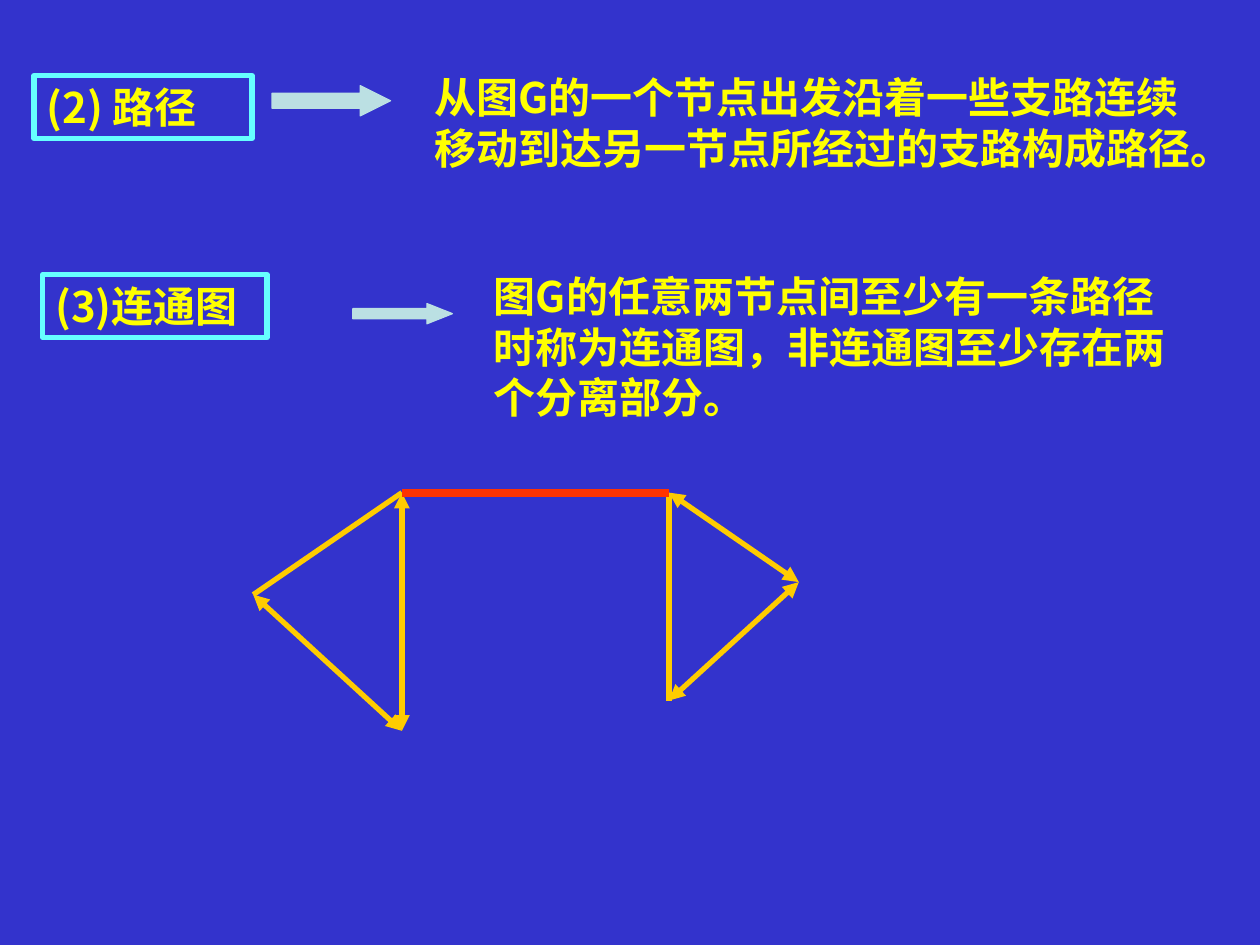
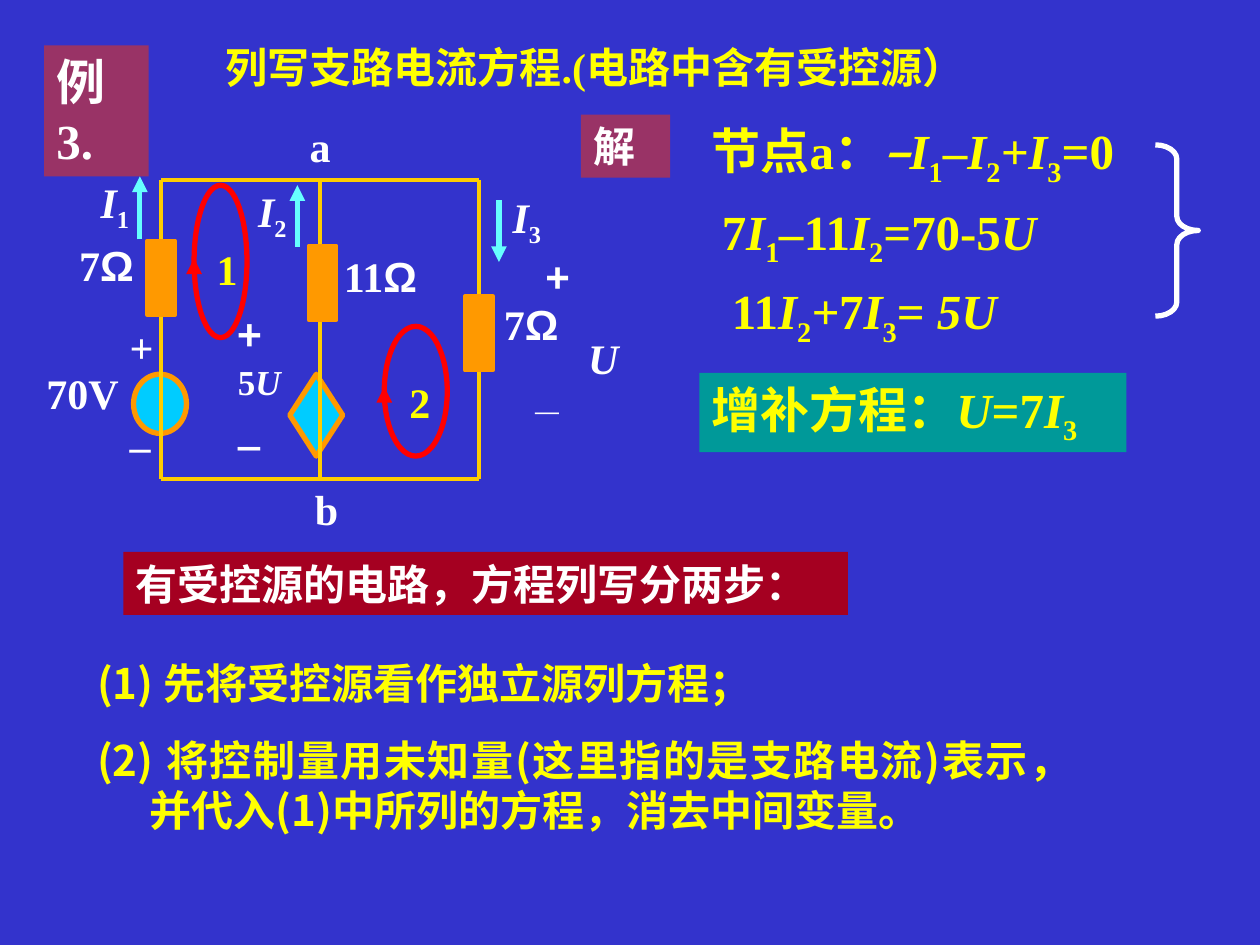
"""Build two circuit-theory slides: paths and connected graphs, and a worked example."""
from dataclasses import dataclass

from lxml import etree
from pptx import Presentation
from pptx import util as u
from pptx.dml.color import RGBColor
from pptx.enum import shapes, text
from pptx.oxml.ns import qn


@dataclass(frozen=True)
class Theme:
    """Colours, fonts and type sizes of the deck."""
    back: str = "3333CC"
    yellow: str = "FFFF00"
    white: str = "FFFFFF"
    cyan: str = "66FFFF"
    arrow: str = "BBE0E3"
    wire: str = "FFCC00"
    bridge: str = "FF3300"
    orange: str = "FF9900"
    source: str = "00CCFF"
    loop: str = "FF0000"
    tag: str = "993366"
    extra: str = "009999"
    banner: str = "A50021"
    sans: str = "Noto Sans CJK SC"
    serif: str = "Times New Roman"
    latin: str = "Arial"
    small: int = 20
    normal: int = 24
    large: int = 28


T = Theme()
SHAPE = shapes.MSO_SHAPE

TERMS = [
    ("(2) 路径", (0.27, 0.6, 1.73, 0.5)),
    ("(3)连通图", (0.34, 2.18, 1.78, 0.5)),
]
DEFINITIONS = [
    ("从图G的一个节点出发沿着一些支路连续移动到达另一节点所经过的支路构成路|~径|。",
     (3.35, 0.52, 6.22, 1.3)),
    ("图G的任意两节点间至少有一条路|~径|时称为连通图，非连通图至少存在两个分离部分。",
     (3.82, 2.1, 5.67, 1.3)),
]
POINTERS = [((2.16, 0.68, 0.94, 0.24), 1.0), ((2.8, 2.41, 0.79, 0.16), 1.26)]
NODES = {
    "left": (2.01, 4.72), "left top": (3.19, 3.91), "left foot": (3.19, 5.8),
    "right": (6.34, 4.62), "right top": (5.31, 3.91), "right foot": (5.31, 5.56),
}
BRANCHES = [
    ("left top", "left", ""), ("left", "left foot", "both"),
    ("left top", "left foot", "both"), ("right top", "right foot", ""),
    ("right top", "right", "both"), ("right", "right foot", "both"),
]

TITLE = "列写支路电流方程.(电路中含有受控源）"
TAGS = [
    ("例3.", (0.35, 0.36, 0.83, 1.04), T.tag, T.white, T.large),
    ("解", (4.61, 0.91, 0.71, 0.5), T.tag, T.white, T.normal),
    ("增补方程：|/U|=7|/I|,3", (5.55, 2.96, 3.39, 0.63), T.extra, T.yellow, T.large),
    ("有受控源的电路，方程列写分两步：", (0.98, 4.38, 5.75, 0.5), T.banner, T.white,
     T.normal),
]
EQUATIONS = [
    ("节点a：|/–I|,1|–|/I|,2|/+I|,3|=0", (5.55, 0.91, 3.92, 0.63)),
    ("7|/I|,1|/–|11|/I|,2|=70-5|/U", (5.63, 1.55, 2.91, 0.63)),
    ("11|/I|,2|/+|7|/I|,3|=|/ 5U", (5.71, 2.18, 3.39, 0.63)),
]
STEPS = [
    "(1) 先将受控源看作独立源列方程；",
    "(2) 将控制量用未知量(这里指的是支路电流)表示，并代入(1)中所列的方程，消去中间变量。",
]
BRANCH_X = (1.28, 2.54, 3.8)
TOP, FOOT = 1.43, 3.8
RESISTORS = [(1.17, 1.91), (2.45, 1.95), (3.69, 2.35)]
RESISTOR_SIZE = (0.22, 0.59)
SOURCES = [
    (SHAPE.OVAL, (1.06, 2.97, 0.42, 0.47)),
    (SHAPE.DIAMOND, (2.3, 2.97, 0.42, 0.65)),
]
LOOPS = [
    ("1", (1.54, 1.47, 0.42, 1.21), (1.62, 1.88), 2.11),
    ("2", (3.05, 2.59, 0.5, 1.03), (3.15, 2.94), 3.13),
]
CURRENTS = [((1.11, 1.9), (1.11, 1.4)), ((2.36, 1.96), (2.36, 1.47)),
            ((3.96, 1.59), (3.96, 2.08))]
LABELS = [
    ("a", 2.36, 0.91, T.serif), ("b", 2.4, 3.79, T.serif),
    ("70V", 0.27, 2.87, T.serif), ("+", 0.93, 2.5, T.serif),
    ("–", 0.93, 3.28, T.serif), ("/I|,1", 0.7, 1.35, T.serif),
    ("/I|,2", 1.95, 1.42, T.serif), ("/I|,3", 3.97, 1.47, T.serif),
    ("7|~Ω", 0.53, 1.85, T.serif), ("11|~Ω", 2.63, 1.94, T.serif),
    ("7|~Ω", 3.9, 2.32, T.serif), ("+", 4.23, 1.94, T.latin),
    ("/U", 4.57, 2.59, T.serif), ("_", 4.15, 2.87, T.latin),
]
LABEL_SIZE = (1.01, 0.5)
CONTROLLED = [("+", T.sans, T.normal), ("5|/U", T.serif, T.small),
              ("_", T.sans, T.normal)]


def rgb(value):
    """Turn a hex string into a colour."""
    return RGBColor.from_string(value)


def inches(values):
    """Turn numbers into inch lengths."""
    return [u.Inches(value) for value in values]


def add_span(para, piece, font, size, color):
    """Add one run: a leading / is italic, a comma lowers, ~ takes the Latin font."""
    mark = piece[0] if piece[0] in "/,~" else ""
    span = para.add_run()
    span.text = piece[len(mark):]
    span.font.name = T.latin if mark == "~" else font
    span.font.size = u.Pt(size)
    span.font.bold = True
    span.font.italic = mark == "/"
    span.font.color.rgb = rgb(color)
    props = span._r.get_or_add_rPr()
    etree.SubElement(props, qn("a:ea")).set("typeface", T.sans)
    if mark == ",":
        props.set("baseline", "-25000")


def write(box, lines, color, indent=0, align=text.PP_ALIGN.LEFT):
    """Fill a box with (markup, font, size) paragraphs, runs parted by bars."""
    frame = box.text_frame
    frame.word_wrap = True
    frame.auto_size = text.MSO_AUTO_SIZE.NONE
    frame.vertical_anchor = text.MSO_ANCHOR.TOP
    for number, (markup, font, size) in enumerate(lines):
        para = frame.add_paragraph() if number else frame.paragraphs[0]
        props = para._p.get_or_add_pPr()
        props.set("marL", str(u.Inches(indent)))
        props.set("indent", str(-u.Inches(indent)))
        etree.SubElement(props, qn("a:buNone"))
        para.alignment = align
        para.space_before = u.Pt(0)
        for piece in markup.split("|"):
            add_span(para, piece, font, size, color)
    return frame.paragraphs


def add_text(page, place, lines, color):
    """Add a text box."""
    write(page.shapes.add_textbox(*inches(place)), lines, color)


def place_holder(holder, place):
    """Move a placeholder."""
    holder.left, holder.top, holder.width, holder.height = inches(place)
    return holder


def set_line(shape, color, width):
    """Draw an outline."""
    shape.line.color.rgb = rgb(color)
    shape.line.width = u.Pt(width)


def add_form(page, kind, place, fill=None, line=None, width=3):
    """Add a preset shape without shadow."""
    shape = page.shapes.add_shape(kind, *inches(place))
    shape.shadow.inherit = False
    if fill:
        shape.fill.solid()
        shape.fill.fore_color.rgb = rgb(fill)
    else:
        shape.fill.background()
    if line:
        set_line(shape, line, width)
    else:
        shape.line.fill.background()
    return shape


def add_line(page, start, end, color, width=3.0, arrows=""):
    """Add a straight line with arrowheads at its end or at both ends."""
    line = page.shapes.add_connector(shapes.MSO_CONNECTOR.STRAIGHT,
                                     *inches(start + end))
    set_line(line, color, width)
    props = line._element.spPr
    ends = {"both": ("headEnd", "tailEnd"), "end": ("tailEnd",)}.get(arrows, ())
    for name in ends:
        etree.SubElement(props.find(qn("a:ln")), qn(f"a:{name}")).set("type", "triangle")
    etree.SubElement(props, qn("a:effectLst"))


def build_graph_page(deck):
    """Define paths and connected graphs above a bridged graph."""
    page = deck.slides.add_slide(deck.slide_layouts[3])
    title, *bodies = page.placeholders
    for body, (markup, place) in zip(bodies, DEFINITIONS):
        write(place_holder(body, place), [(markup, T.sans, T.normal)], T.yellow)
    (term, place), (second, second_place) = TERMS
    place_holder(title, place)
    set_line(title, T.cyan, 3)
    frame = add_form(page, SHAPE.RECTANGLE, second_place, line=T.cyan)
    for box, name in ((title, term), (frame, second)):
        write(box, [(name, T.sans, T.normal)], T.yellow)
    for place, head in POINTERS:
        pointer = add_form(page, SHAPE.RIGHT_ARROW, place, T.arrow, T.arrow, 0.75)
        pointer.adjustments[1] = head
    for start, end, arrows in BRANCHES:
        add_line(page, NODES[start], NODES[end], T.wire, arrows=arrows)
    add_line(page, NODES["left top"], NODES["right top"], T.bridge, 4.5)


def draw_circuit(page):
    """Draw the three-branch circuit with its labels."""
    for kind, place in SOURCES:
        add_form(page, kind, place, T.source, T.orange)
    for name, place, (left, top), tip in LOOPS:
        add_form(page, SHAPE.OVAL, place, line=T.loop)
        add_text(page, (left, top, 0.35, 0.5), [(name, T.serif, T.normal)], T.yellow)
        add_line(page, (place[0], tip), (place[0], tip - 0.06), T.loop, arrows="end")
    for x in BRANCH_X:
        add_line(page, (x, TOP), (x, FOOT), T.wire, 2.25)
    for y in (TOP, FOOT):
        add_line(page, (BRANCH_X[0], y), (BRANCH_X[-1], y), T.wire, 2.25)
    for corner in RESISTORS:
        add_form(page, SHAPE.RECTANGLE, corner + RESISTOR_SIZE, T.orange, T.orange, 2.25)
    for start, end in CURRENTS:
        add_line(page, start, end, T.cyan, arrows="end")
    for markup, left, top, font in LABELS:
        add_text(page, (left, top) + LABEL_SIZE, [(markup, font, T.normal)], T.white)
    add_text(page, (1.79, 2.41, 0.67, 1.24), CONTROLLED, T.white)


def build_example_page(deck):
    """Solve a circuit that holds a controlled source."""
    page = deck.slides.add_slide(deck.slide_layouts[1])
    title, body = page.placeholders
    write(place_holder(title, (1.69, 0.28, 6.69, 0.5)),
          [(TITLE, T.serif, T.normal)], T.yellow)
    first, second = write(place_holder(body, (0.67, 5.09, 7.6, 1.59)),
                          [(step, T.sans, T.normal) for step in STEPS],
                          T.yellow, 0.42, text.PP_ALIGN.JUSTIFY)
    first.line_spacing = 1.2
    second.space_before = u.Pt(15)
    for markup, place, fill, color, size in TAGS:
        write(add_form(page, SHAPE.RECTANGLE, place, fill),
              [(markup, T.serif, size)], color)
    for markup, place in EQUATIONS:
        add_text(page, place, [(markup, T.serif, T.large)], T.yellow)
    brace = add_form(page, SHAPE.RIGHT_BRACE, (9.17, 1.15, 0.34, 1.36), line=T.white)
    brace.adjustments[0] = 0.33
    draw_circuit(page)


def main():
    """Build and save the deck."""
    deck = Presentation()
    deck.slide_width, deck.slide_height = inches((10, 7.5))
    fill = deck.slide_master.background.fill
    fill.solid()
    fill.fore_color.rgb = rgb(T.back)
    build_graph_page(deck)
    build_example_page(deck)
    deck.save("out.pptx")


if __name__ == "__main__":
    main()
